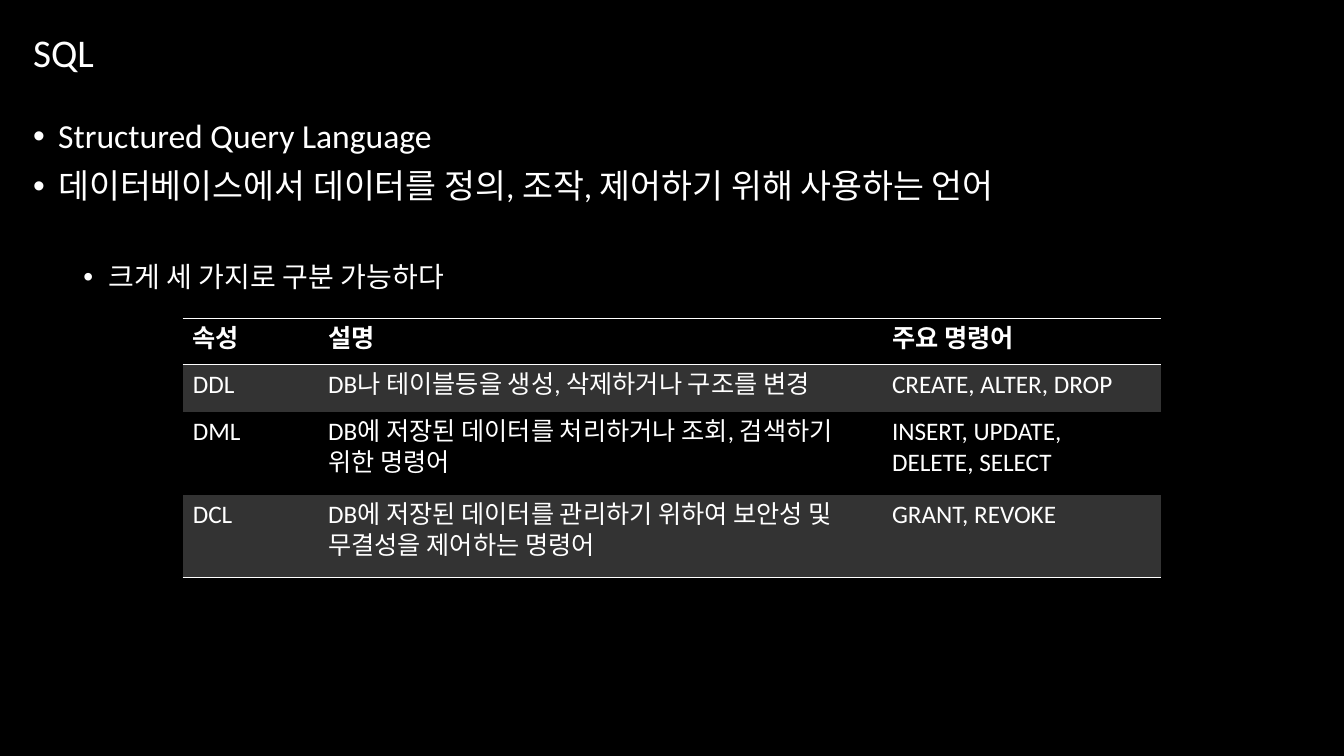
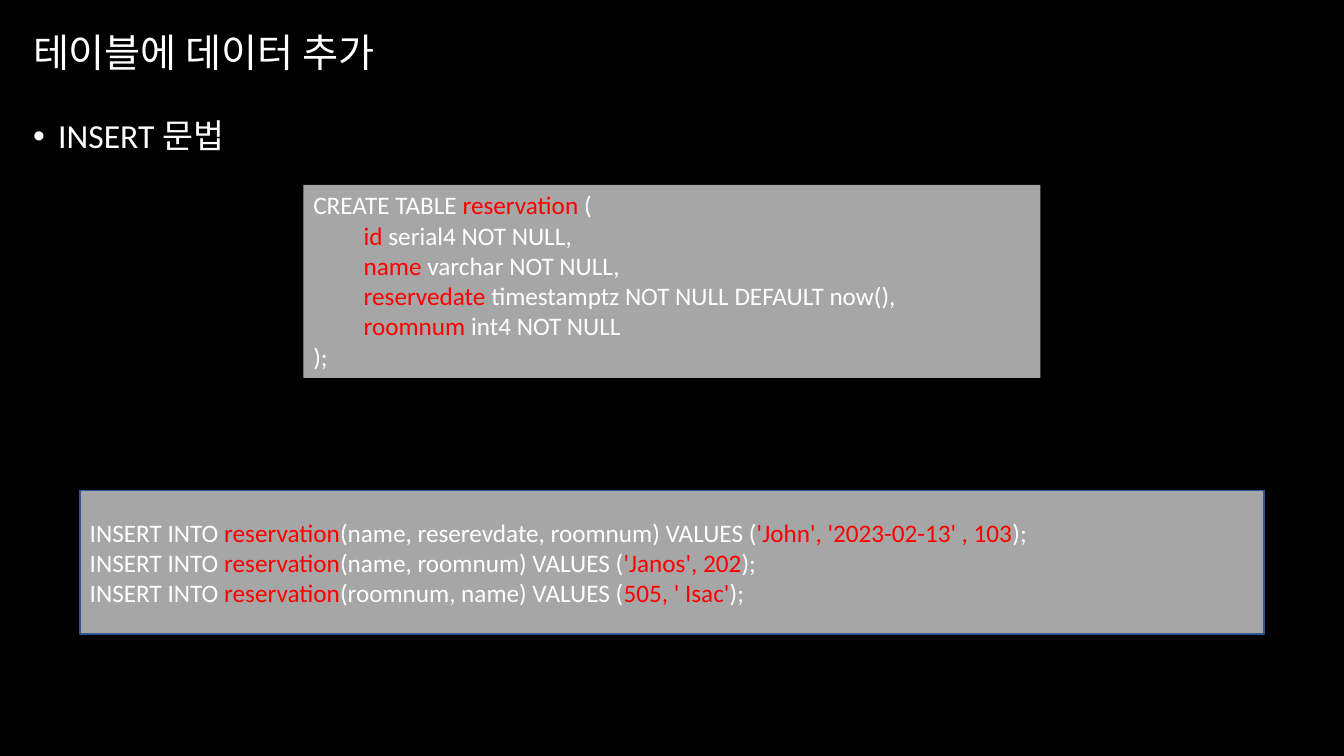
"""Build two slides on SQL command groups and the INSERT syntax."""
from dataclasses import dataclass

from lxml.etree import SubElement
from pptx import Presentation
from pptx.dml.color import RGBColor
from pptx.enum.lang import MSO_LANGUAGE_ID as Lang
from pptx.enum.shapes import MSO_SHAPE as Shape
from pptx.enum.text import MSO_ANCHOR as Anchor, PP_ALIGN as Align
from pptx.oxml.ns import qn
from pptx.util import Pt

PX = 9525


@dataclass(frozen=True)
class Theme:
    font: str = "Calibri"
    ground: str = "000000"
    text: str = "FFFFFF"
    accent: str = "FF0000"
    band: str = "333333"
    code: str = "A6A6A6"
    outline: str = "325491"
    title_size: int = 28
    bullet_sizes: tuple = (24, 20)
    body_size: int = 18
    line_spacing: float = 0.9
    rule: int = 1
    table_style: str = "{2D5ABB26-0587-4C30-8999-92F81FD0307C}"


THEME = Theme()

PAGE = (1280, 720)
TITLE_BOX = (22, 18, 1236, 69)
BULLET_BOX = (22, 109, 1236, 550)
BULLET_HANG = 24
LEVEL_STEP = 48

SQL_TITLE = "SQL"
SQL_BULLETS = [
    (0, 10, "Structured Query Language"),
    (0, 10, "데이터베이스에서 데이터를 정의, 조작, 제어하기 위해 사용하는 언어"),
    (1, 41, "크게 세 가지로 구분 가능하다"),
]
COMMANDS_AT = (174, 303)
COMMANDS_COLUMNS = (129, 537, 266)
COMMANDS_ROWS = (44, 45, 79, 79)
COMMANDS = [
    ("속성", "설명", "주요 명령어"),
    ("DDL", "DB나 테이블등을 생성, 삭제하거나 구조를 변경", "CREATE, ALTER, DROP"),
    ("DML", "DB에 저장된 데이터를 처리하거나 조회, 검색하기 위한 명령어",
     "INSERT, UPDATE,\nDELETE, SELECT"),
    ("DCL", "DB에 저장된 데이터를 관리하기 위하여 보안성 및 무결성을 제어하는 명령어",
     "GRANT, REVOKE"),
]

INSERT_TITLE = "테이블에 데이터 추가"
INSERT_BULLETS = [(0, 10, "INSERT 문법")]
CREATE_BOX = (289, 176, 702, 184)
CREATE_CODE = [
    (0, "CREATE TABLE ", "reservation", " ("),
    (1, "", "id", " serial4 NOT NULL,"),
    (1, "", "name", " varchar NOT NULL,"),
    (1, "", "reservedate", " timestamptz NOT NULL DEFAULT now(),"),
    (1, "", "roomnum", " int4 NOT NULL"),
    (0, ");"),
]
INSERT_BOX = (76, 467, 1128, 137)
INSERT_CODE = [
    (0, "INSERT INTO ", "reservation", f"({columns}) VALUES (", values, ");")
    for columns, values in [
        ("name, reserevdate, roomnum", "'John', '2023-02-13' , 103"),
        ("name, roomnum", "'Janos', 202"),
        ("roomnum, name", "505, ' Isac'"),
    ]
]


def px(*lengths):
    return [length * PX for length in lengths]


def rgb(code):
    return RGBColor.from_string(code)


def add_run(paragraph, words, size, color=THEME.text, bold=False):
    run = paragraph.add_run()
    run.text = words
    run.font.name = THEME.font
    run.font.size = Pt(size)
    run.font.bold = bold
    run.font.language_id = Lang.KOREAN
    run.font.color.rgb = rgb(color)
    SubElement(run.font._element, qn("a:ea"), typeface=THEME.font)


def paragraphs(frame, items):
    for index, item in enumerate(items):
        yield (frame.add_paragraph() if index else frame.paragraphs[0]), item


def add_text_box(slide, box, anchor):
    frame = slide.shapes.add_textbox(*px(*box)).text_frame
    frame.word_wrap = True
    frame.vertical_anchor = anchor
    return frame


def add_bullets(slide, bullets):
    frame = add_text_box(slide, BULLET_BOX, Anchor.TOP)
    for paragraph, (level, space, words) in paragraphs(frame, bullets):
        paragraph.level = level
        paragraph.line_spacing = THEME.line_spacing
        paragraph.space_before = Pt(space)
        props = paragraph._p.get_or_add_pPr()
        props.set("marL", str((BULLET_HANG + level * LEVEL_STEP) * PX))
        props.set("indent", str(-BULLET_HANG * PX))
        SubElement(props, qn("a:buFont"), typeface="Arial")
        SubElement(props, qn("a:buChar"), char="•")
        add_run(paragraph, words, THEME.bullet_sizes[level])


def add_topic(deck, title, bullets):
    slide = deck.slides.add_slide(deck.slide_layouts[6])
    heading = add_text_box(slide, TITLE_BOX, Anchor.MIDDLE).paragraphs[0]
    heading.line_spacing = THEME.line_spacing
    add_run(heading, title, THEME.title_size)
    add_bullets(slide, bullets)
    return slide


def add_rule(cell, side):
    line = SubElement(cell._tc.get_or_add_tcPr(), qn(f"a:{side}"), w=str(Pt(THEME.rule)))
    SubElement(SubElement(line, qn("a:solidFill")), qn("a:srgbClr"), val=THEME.text)


def add_commands(slide):
    size = px(sum(COMMANDS_COLUMNS), sum(COMMANDS_ROWS))
    frame = slide.shapes.add_table(
        len(COMMANDS), len(COMMANDS_COLUMNS), *px(*COMMANDS_AT), *size)
    table = frame.table
    table._tbl.tblPr.find(qn("a:tableStyleId")).text = THEME.table_style
    table.horz_banding = False
    for column, width in zip(table.columns, px(*COMMANDS_COLUMNS)):
        column.width = width
    for row, height in zip(table.rows, px(*COMMANDS_ROWS)):
        row.height = height
    last = len(COMMANDS) - 1
    for r, row in enumerate(COMMANDS):
        for c, words in enumerate(row):
            cell = table.cell(r, c)
            for paragraph, line in paragraphs(cell.text_frame, words.split("\n")):
                add_run(paragraph, line, THEME.body_size, bold=r == 0)
            if r == 0:
                add_rule(cell, "lnT")
            if r in (0, last):
                add_rule(cell, "lnB")
            if r % 2:
                cell.fill.solid()
                cell.fill.fore_color.rgb = rgb(THEME.band)
            else:
                cell.fill.background()


def add_code(slide, box, lines, anchor, outline=None):
    panel = slide.shapes.add_shape(Shape.RECTANGLE, *px(*box))
    panel.shadow.inherit = False
    panel.fill.solid()
    panel.fill.fore_color.rgb = rgb(THEME.code)
    if outline:
        panel.line.color.rgb = rgb(outline)
        panel.line.width = Pt(THEME.rule)
    else:
        panel.line.fill.background()
    frame = panel.text_frame
    frame.word_wrap = True
    frame.vertical_anchor = anchor
    for paragraph, (depth, *parts) in paragraphs(frame, lines):
        paragraph.alignment = Align.LEFT
        paragraph._p.get_or_add_pPr().set("marL", str(depth * LEVEL_STEP * PX))
        for index, words in enumerate(parts):
            if words:
                add_run(paragraph, words, THEME.body_size,
                        THEME.accent if index % 2 else THEME.text)


def main():
    deck = Presentation()
    deck.slide_width, deck.slide_height = px(*PAGE)
    ground = deck.slide_master.background.fill
    ground.solid()
    ground.fore_color.rgb = rgb(THEME.ground)

    add_commands(add_topic(deck, SQL_TITLE, SQL_BULLETS))

    insert = add_topic(deck, INSERT_TITLE, INSERT_BULLETS)
    add_code(insert, CREATE_BOX, CREATE_CODE, Anchor.TOP)
    add_code(insert, INSERT_BOX, INSERT_CODE, Anchor.MIDDLE, THEME.outline)

    deck.save("out.pptx")


if __name__ == "__main__":
    main()
